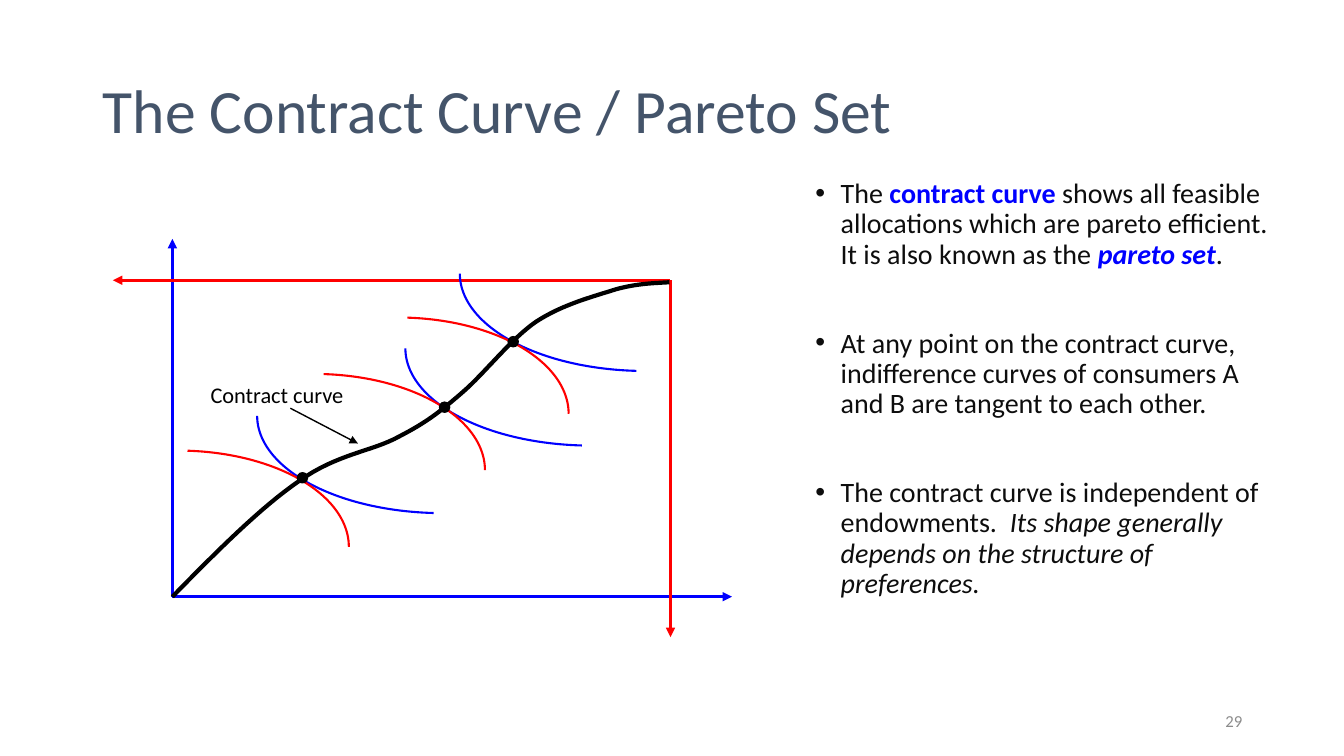
from lxml.etree import SubElement
from pptx import Presentation
from pptx.dml.color import RGBColor
from pptx.enum.shapes import MSO_CONNECTOR, MSO_SHAPE as SHAPE
from pptx.enum.text import MSO_ANCHOR as ANCHOR, PP_ALIGN as ALIGN
from pptx.oxml.ns import qn
from pptx.util import Inches, Pt

COLORS = {name: RGBColor.from_string(value) for name, value in {
    "title": "44546A", "body": "0D0D0D", "blue": "0000FF",
    "red": "FF0000", "black": "000000", "number": "8C8C8C"}.items()}


def write(paragraph, text, size=20, color="body", bold=False, italic=False):
    run = paragraph.add_run()
    run.text = text
    run.font.name = "Calibri"
    run.font.size = Pt(size)
    run.font.color.rgb = COLORS[color]
    run.font.bold = bold
    run.font.italic = italic


def draw_arrow(start, end, color, width):
    arrow = shapes.add_connector(MSO_CONNECTOR.STRAIGHT, *map(Inches, start + end))
    arrow.line.color.rgb = COLORS[color]
    arrow.line.width = Pt(width)
    properties = arrow.element.spPr
    SubElement(properties.find(qn("a:ln")), qn("a:tailEnd"), type="triangle")
    SubElement(properties, qn("a:effectLst"))


prs = Presentation()
prs.slide_width, prs.slide_height = Inches(13.33), Inches(7.5)
slide = prs.slides.add_slide(prs.slide_layouts[5])
shapes = slide.shapes

# Title
title = shapes.title
title.left, title.top, title.width, title.height = map(Inches, (0.92, 0.4, 11.5, 1.45))
title.text_frame.vertical_anchor = ANCHOR.MIDDLE
heading = title.text_frame.paragraphs[0]
heading.alignment = ALIGN.LEFT
heading.line_spacing = 0.9
write(heading, "The Contract Curve / Pareto Set", size=44, color="title")

# Bullets
points = [
    [("The ", {}),
     ("contract curve ", {"color": "blue", "bold": True}),
     ("shows all feasible allocations which are pareto efficient. "
      "It is also known as the ", {}),
     ("pareto set", {"color": "blue", "bold": True, "italic": True}),
     (".", {})],
    [("At any point on the contract curve, indifference curves of consumers "
      "A and B are tangent to each other.", {})],
    [("The contract curve is independent of endowments.  ", {}),
     ("Its shape generally depends on the structure of preferences.", {"italic": True})],
]
body = shapes.add_textbox(*map(Inches, (7.99, 1.73, 4.83, 4.92))).text_frame
body.word_wrap = True
for index, point in enumerate(points):
    bullet = body.add_paragraph() if index else body.paragraphs[0]
    bullet.line_spacing = 0.9
    if index:
        bullet.space_before = Pt(42)
    properties = bullet._p.get_or_add_pPr()
    properties.set("marL", str(Inches(0.25)))
    properties.set("indent", str(-Inches(0.25)))
    SubElement(properties, qn("a:buFont"), typeface="Arial")
    SubElement(properties, qn("a:buChar"), char="•")
    for text, style in point:
        write(bullet, text, **style)

# Slide number
number = shapes.add_textbox(*map(Inches, (9.42, 6.95, 3, 0.4))).text_frame
number.word_wrap = True
number.vertical_anchor = ANCHOR.MIDDLE
number.paragraphs[0].alignment = ALIGN.RIGHT
write(number.paragraphs[0], "29", size=12, color="number")

# Axes of the two consumers
origin_a, origin_b = (1.71, 5.92), (6.65, 2.78)
for origin, end, color in [
    (origin_a, (1.71, 2.37), "blue"),
    (origin_a, (7.26, 5.92), "blue"),
    (origin_b, (1.12, 2.78), "red"),
    (origin_b, (6.65, 6.32), "red"),
]:
    draw_arrow(origin, end, color, 2.25)

# Indifference curves: blue for A, red for B
for blue_corner, red_corner in [
    ((4.56, 1.75), (2.25, 3.15)),
    ((4.02, 2.49), (1.42, 3.71)),
    ((2.55, 3.16), (0.07, 4.47)),
]:
    for corner, size, start_angle, rotation, color in [
        (blue_corner, (3.68, 1.93), 165.18, 180, "blue"),
        (red_corner, (3.39, 1.91), 165.41, 0, "red"),
    ]:
        curve = shapes.add_shape(SHAPE.ARC, *map(Inches, corner + size))
        curve.adjustments[0] = start_angle
        curve.adjustments[1] = 0
        curve.rotation = rotation
        curve.shadow.inherit = False
        curve.fill.background()
        curve.line.color.rgb = COLORS[color]
        curve.line.width = Pt(1.5)

# Contract curve, traced from cubic Bézier segments
start = origin_a
segments = [
    ((2.15, 5.47), (2.59, 5.03), (2.97, 4.77)),
    ((3.35, 4.5), (3.69, 4.48), (3.96, 4.33)),
    ((4.23, 4.19), (4.36, 4.09), (4.59, 3.89)),
    ((4.81, 3.7), (5.07, 3.36), (5.32, 3.19)),
    ((5.58, 3.02), (5.89, 2.94), (6.11, 2.87)),
    ((6.33, 2.81), (6.49, 2.81), (6.64, 2.8)),
]
STEPS = 16
builder = shapes.build_freeform(*map(Inches, start))
for control_1, control_2, end in segments:
    trace = []
    for step in range(1, STEPS + 1):
        t = step / STEPS
        weights = ((1 - t) ** 3, 3 * t * (1 - t) ** 2, 3 * t ** 2 * (1 - t), t ** 3)
        corners = (start, control_1, control_2, end)
        trace.append([Inches(sum(w * c[axis] for w, c in zip(weights, corners)))
                      for axis in (0, 1)])
    builder.add_line_segments(trace, close=False)
    start = end
contract_curve = builder.convert_to_shape()
contract_curve.shadow.inherit = False
contract_curve.fill.background()
contract_curve.line.color.rgb = COLORS["black"]
contract_curve.line.width = Pt(3)

# Tangency points
for left, top in [(5.04, 3.34), (4.36, 3.99), (2.95, 4.69)]:
    tangency = shapes.add_shape(SHAPE.OVAL, *map(Inches, (left, top, 0.1, 0.1)))
    tangency.shadow.inherit = False
    tangency.fill.solid()
    tangency.fill.fore_color.rgb = COLORS["black"]
    tangency.line.color.rgb = COLORS["black"]
    tangency.line.width = Pt(1)

# Curve label and its pointer
label = shapes.add_textbox(*map(Inches, (1.99, 3.73, 1.54, 0.37))).text_frame
label.word_wrap = False
write(label.paragraphs[0], "Contract curve", size=16, color="black")
draw_arrow((2.88, 4.05), (3.55, 4.4), "black", 1)

prs.save("out.pptx")
